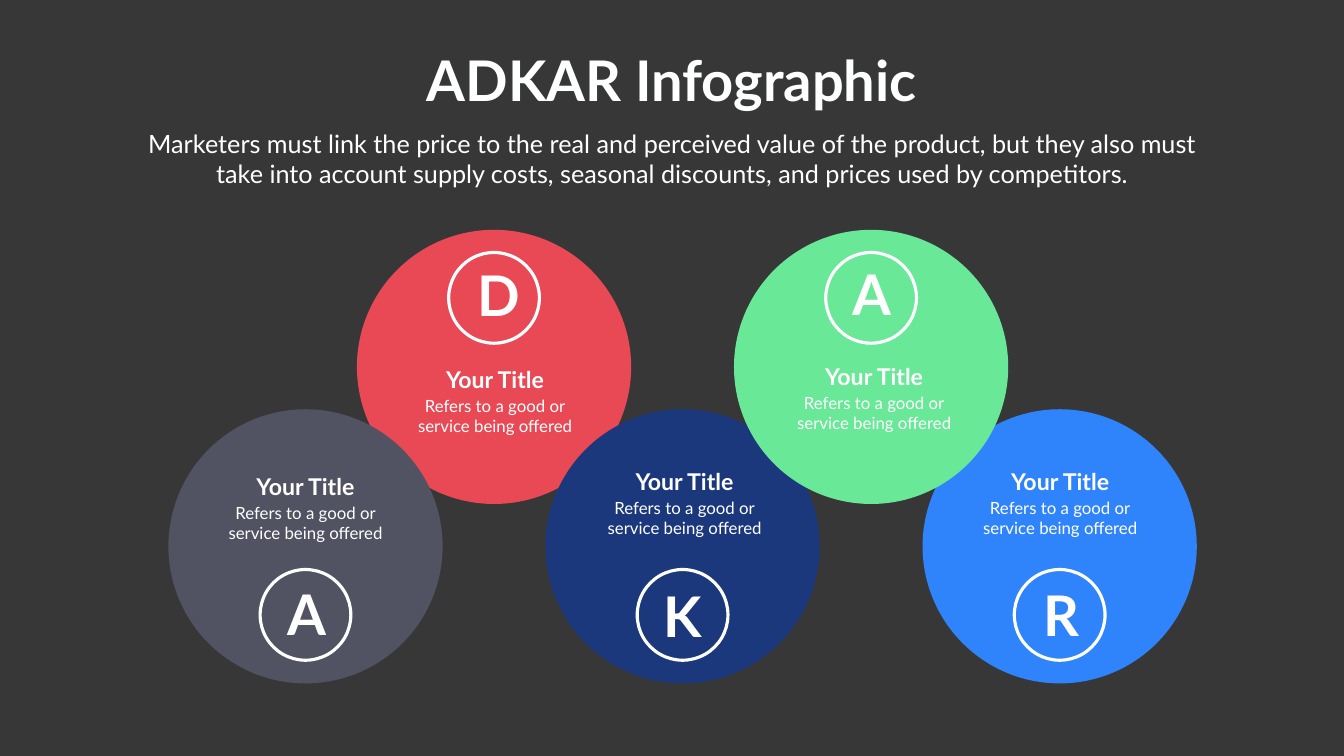
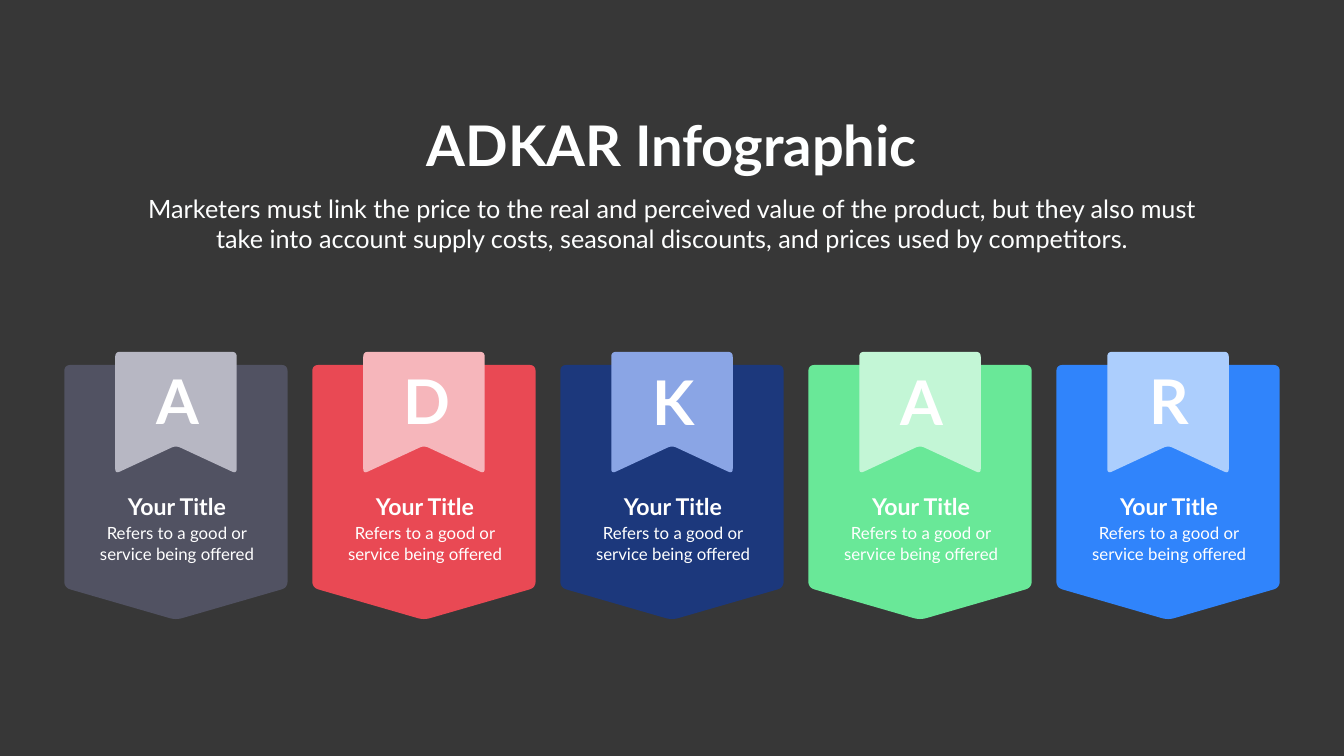
"""Build two ADKAR infographic slides: overlapping circles and ribbon banners."""
from math import dist

from pptx import Presentation
from pptx import util as u
from pptx.dml.color import RGBColor
from pptx.enum import shapes, text

W, H = 26.66, 15
COLORS = {
    "ground": "373737", "title": "FEFFFF", "text": "FFFFFF",
    "slate": "515262", "red": "E94954", "navy": "1C387C",
    "green": "69E898", "blue": "3084FB",
    "pale slate": "B7B7C3", "pale red": "F6B6BB", "pale navy": "8AA5E5",
    "pale green": "C3F6D6", "pale blue": "ACCEFD",
}
HUES = ["slate", "red", "navy", "green", "blue"]
LETTERS = "ADKAR"
INTRO = ("Marketers must link the price to the real and perceived value of the "
         "product, but they also must take into account supply costs, seasonal "
         "discounts, and prices used by competitors.")
CAPTION = ["Refers to a good or", "service being offered"]


def rgb(name):
    """Return the named colour."""
    return RGBColor.from_string(COLORS[name])


def paint(shape, fill, line=None):
    """Fill a shape and give it an optional heavy outline."""
    shape.shadow.inherit = False
    shape.fill.solid()
    shape.fill.fore_color.rgb = rgb(fill)
    if line:
        shape.line.color.rgb = rgb(line)
        shape.line.width = u.Pt(4.5)
    else:
        shape.line.fill.background()


def add_text(parent, lines, cx, top, width, height, size,
             bold=False, color="text", wrap=True):
    """Add centred Lato text around the vertical axis cx."""
    box = parent.add_textbox(*map(u.Inches, (cx - width / 2, top, width, height)))
    tf = box.text_frame
    tf.word_wrap = wrap
    tf.auto_size = text.MSO_AUTO_SIZE.SHAPE_TO_FIT_TEXT
    look = {"name": "Lato", "size": u.Pt(size), "bold": bold}
    for i, line in enumerate(lines):
        p = tf.add_paragraph() if i else tf.paragraphs[0]
        p.alignment = text.PP_ALIGN.CENTER
        r = p.add_run()
        r.text = line
        for key, value in look.items():
            setattr(r.font, key, value)
        r.font.color.rgb = rgb(color)


def add_label(parent, cx, top):
    """Add an item title with its two-line caption."""
    add_text(parent, ["Your Title"], cx, top, 2.3, 0.66, 33, bold=True)
    add_text(parent, CAPTION, cx, top + 0.6, 3.52, 0.91, 24)


def add_circle(s, cx, cy, size, fill, line=None):
    """Add a circle by its centre."""
    box = map(u.Inches, (cx - size / 2, cy - size / 2, size, size))
    paint(s.shapes.add_shape(shapes.MSO_SHAPE.OVAL, *box), fill, line)


def rounded(corners, cut, steps=6):
    """Return the outline of a polygon with each corner curved."""
    outline = []
    for i, corner in enumerate(corners):
        ends = []
        for other in (corners[i - 1], corners[(i + 1) % len(corners)]):
            t = cut / dist(corner, other)
            ends.append([a + (b - a) * t for a, b in zip(corner, other)])
        for k in range(steps + 1):
            t = k / steps
            outline.append([(1 - t) ** 2 * a + 2 * t * (1 - t) * b + t * t * c
                            for a, b, c in zip(ends[0], corner, ends[1])])
    return outline


def add_banner(s, cx, top, width, side, tip, cut, fill):
    """Add a rounded banner whose lower edge meets at tip on its axis."""
    left, right = cx - width / 2, cx + width / 2
    corners = [(left, top), (right, top), (right, side), (cx, tip), (left, side)]
    points = [(u.Inches(x), u.Inches(y)) for x, y in rounded(corners, cut)]
    path = s.shapes.build_freeform(*points[0])
    path.add_line_segments(points[1:], close=True)
    paint(path.convert_to_shape(), fill)


def add_slide(prs, top):
    """Add a dark slide with the shared heading and introduction."""
    s = prs.slides.add_slide(prs.slide_layouts[6])
    s.background.fill.solid()
    s.background.fill.fore_color.rgb = rgb("ground")
    add_text(s.shapes, ["ADKAR Infographic"], W / 2, top, 10.14, 1.45, 80,
             bold=True, color="title", wrap=False)
    add_text(s.shapes, [INTRO], W / 2, top + 1.65, 21.3, 1.31, 36, color="title")
    return s


def circles_slide(prs):
    """Draw five overlapping circles in two rows."""
    s = add_slide(prs, 0.85)
    centers = [6.06 + 3.74 * i for i in range(5)]
    label_x = [6.06, 9.82, 13.58, 17.34, 21.03]
    label_top = [9.32, 7.2, 9.22, 7.14, 9.22]
    letter_x = [6.08, 9.87, 13.55, 17.3, 21.05]
    letter_top = [11.44, 5.12, 11.48, 5.09, 11.47]
    for i in (1, 0, 2, 4, 3):
        upper = i % 2
        add_circle(s, centers[i], 7.28 if upper else 10.84, 5.44, HUES[i])
        add_circle(s, centers[i], 5.91 if upper else 12.2, 1.8, HUES[i], "text")
    for i, letter in enumerate(LETTERS):
        add_text(s.shapes, [letter], letter_x[i], letter_top[i], 1, 1.45, 80,
                 bold=True, wrap=False)
        add_label(s.shapes, label_x[i], label_top[i])


def banners_slide(prs):
    """Draw five pointed banners, each with a notched ribbon."""
    s = add_slide(prs, 2.14)
    for i, (letter, hue) in enumerate(zip(LETTERS, HUES)):
        cx = W / 2 + 4.92 * (i - 2)
        add_banner(s, cx, 7.24, 4.43, 11.66, 12.3, 0.13, hue)
        add_banner(s, cx, 6.98, 2.41, 9.4, 8.84, 0.1, f"pale {hue}")
        add_text(s.shapes, [letter], cx + 0.03, 7.18 if i in (2, 3) else 7.16,
                 1.06, 1.58, 88, bold=True, wrap=False)
        add_label(s.shapes.add_group_shape().shapes, cx + 0.02, 9.73)


def main():
    """Build and save the deck."""
    prs = Presentation()
    prs.slide_width, prs.slide_height = u.Inches(W), u.Inches(H)
    circles_slide(prs)
    banners_slide(prs)
    prs.save("out.pptx")


if __name__ == "__main__":
    main()
